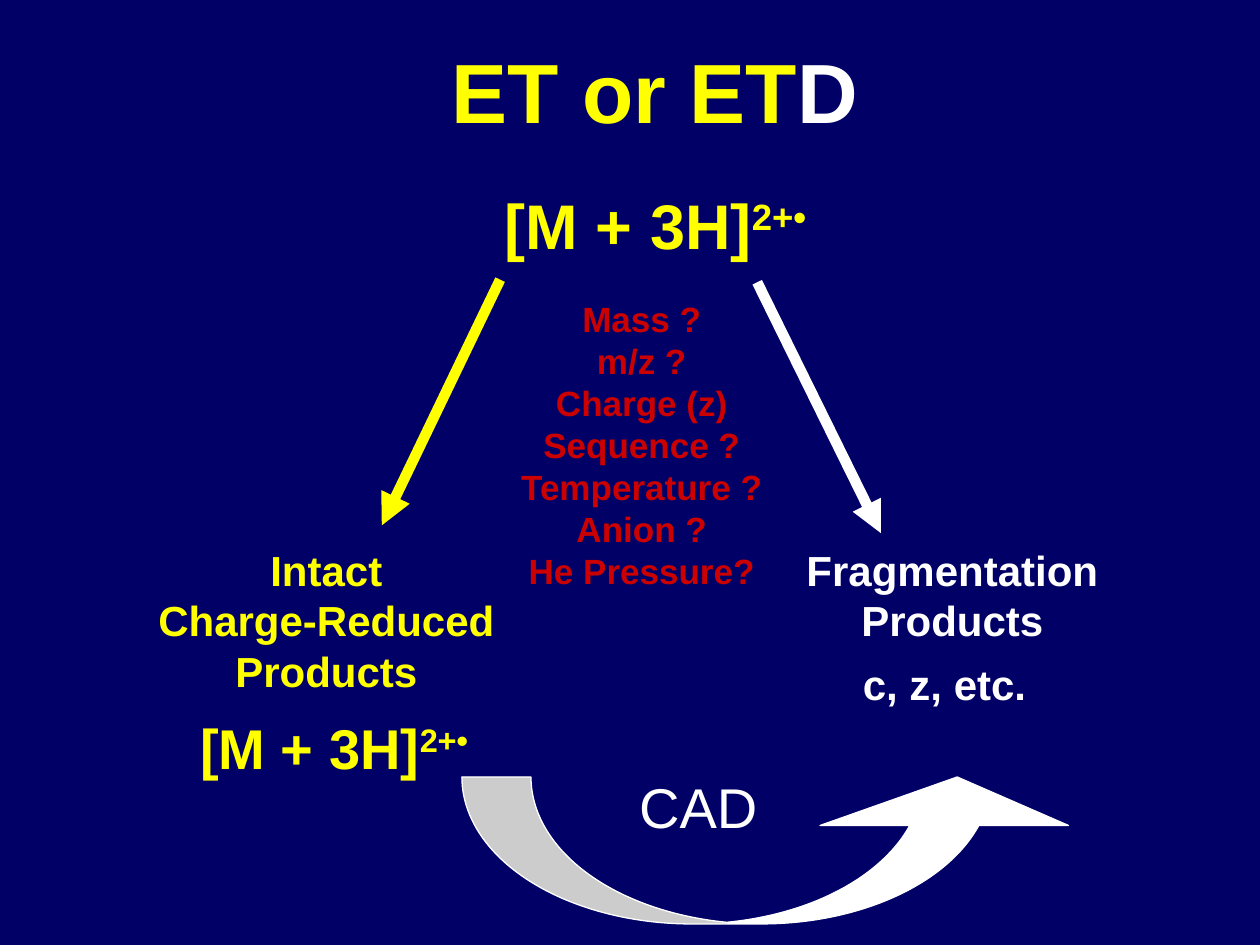
import pptx
import pptx.util
import pptx.dml.color
import pptx.enum.shapes
import pptx.enum.text
import pptx.oxml
import pptx.oxml.ns

Pt = pptx.util.Pt
ALIGN = pptx.enum.text.PP_ALIGN
NAVY, YELLOW, WHITE, RED = "000066", "FFFF00", "FFFFFF", "CC0000"

# Content: a line is a list of (text, colour, superscript) runs
TITLE = [[("ET or ET", YELLOW, False), ("D", WHITE, False)]]
ION = [[("[M + 3H]", YELLOW, False), ("2+•", YELLOW, True)]]


def plain(colour, *lines):
    return [[(line, colour, False)] for line in lines]


FACTORS = plain(RED, "Mass ?", "m/z ?", "Charge (z)", "Sequence ?",
                "Temperature ?", "Anion ?", "He Pressure?")
INTACT = plain(YELLOW, "Intact", "Charge-Reduced", "Products")
FRAGMENTS = plain(WHITE, "Fragmentation", "Products")

# (lines, box in points, size, bold, alignment)
LABELS = [
    (ION, (281.5, 103, 191.5, 50.4), 36, True, ALIGN.LEFT),
    (FACTORS, (290, 166.3, 153.4, 175), 20, True, ALIGN.CENTER),
    (FRAGMENTS, (453.5, 307.5, 181.4, 65), 24, True, ALIGN.CENTER),
    (plain(WHITE, "c, z, etc."), (408, 373, 263.5, 36), 24, True, ALIGN.CENTER),
    (plain(WHITE, "CAD"), (354, 438, 90, 45.4), 32, False, ALIGN.CENTER),
]
INTACT_LABELS = [
    (ION, (107.3, 404, 171.4, 45.4), 32, True, ALIGN.LEFT),
    (INTACT, (80, 307.5, 213, 94), 24, True, ALIGN.CENTER),
]
# (start, end, colour)
BRANCHES = [
    ((285.8, 159.8), (218.2, 300.2), YELLOW),
    ((432.7, 161.3), (503.3, 304.6), WHITE),
]


def rgb(colour):
    return pptx.dml.color.RGBColor.from_string(colour)


def write(frame, lines, size, bold, align):
    frame.word_wrap = False
    frame.auto_size = pptx.enum.text.MSO_AUTO_SIZE.NONE
    frame.vertical_anchor = pptx.enum.text.MSO_ANCHOR.TOP
    for number, runs in enumerate(lines):
        paragraph = frame.paragraphs[0] if number == 0 else frame.add_paragraph()
        paragraph.alignment = align
        for text, colour, raised in runs:
            run = paragraph.add_run()
            run.text = text
            run.font.name = "Arial"
            run.font.size = Pt(size)
            run.font.bold = bold
            run.font.color.rgb = rgb(colour)
            if raised:
                run.font._element.set("baseline", "30000")


def add_label(shapes, lines, box, size, bold, align):
    label = shapes.add_textbox(*map(Pt, box))
    write(label.text_frame, lines, size, bold, align)


def add_branch(shapes, start, end, colour):
    branch = shapes.add_connector(pptx.enum.shapes.MSO_CONNECTOR.STRAIGHT,
                                  *map(Pt, start + end))
    branch.line.color.rgb = rgb(colour)
    branch.line.width = Pt(6)
    head = pptx.oxml.ns.qn("a:tailEnd")
    branch.line._get_or_add_ln().append(
        branch._element.makeelement(head, {"type": "triangle"}))
    branch._element.spPr.append(
        branch._element.makeelement(pptx.oxml.ns.qn("a:effectLst"), {}))


def main():
    deck = pptx.Presentation()
    deck.slide_width, deck.slide_height = Pt(720), Pt(540)
    slide = deck.slides.add_slide(deck.slide_layouts[5])
    slide.background.fill.solid()
    slide.background.fill.fore_color.rgb = rgb(NAVY)

    # Title
    title = slide.shapes.title
    title.left, title.top, title.width, title.height = map(Pt, (251, 18.7, 247, 65))
    write(title.text_frame, TITLE, 48, True, ALIGN.LEFT)

    # Precursor, its two branches and the labels
    for branch in BRANCHES:
        add_branch(slide.shapes, *branch)
    intact = slide.shapes.add_group_shape()
    for label in INTACT_LABELS:
        add_label(intact.shapes, *label)

    # Curved arrow from intact products to fragments
    activation = slide.shapes.add_shape(
        pptx.enum.shapes.MSO_SHAPE.CURVED_UP_ARROW,
        *map(Pt, (264, 444, 354, 84)))
    activation.shadow.inherit = False
    activation.fill.solid()
    activation.fill.fore_color.rgb = rgb(WHITE)
    activation.line.color.rgb = rgb(WHITE)
    activation.line.width = Pt(0.75)
    for index, value in enumerate((0.47, 1.69, 0.33)):
        activation.adjustments[index] = value

    for label in LABELS:
        add_label(slide.shapes, *label)

    deck.save("out.pptx")


if __name__ == "__main__":
    main()
